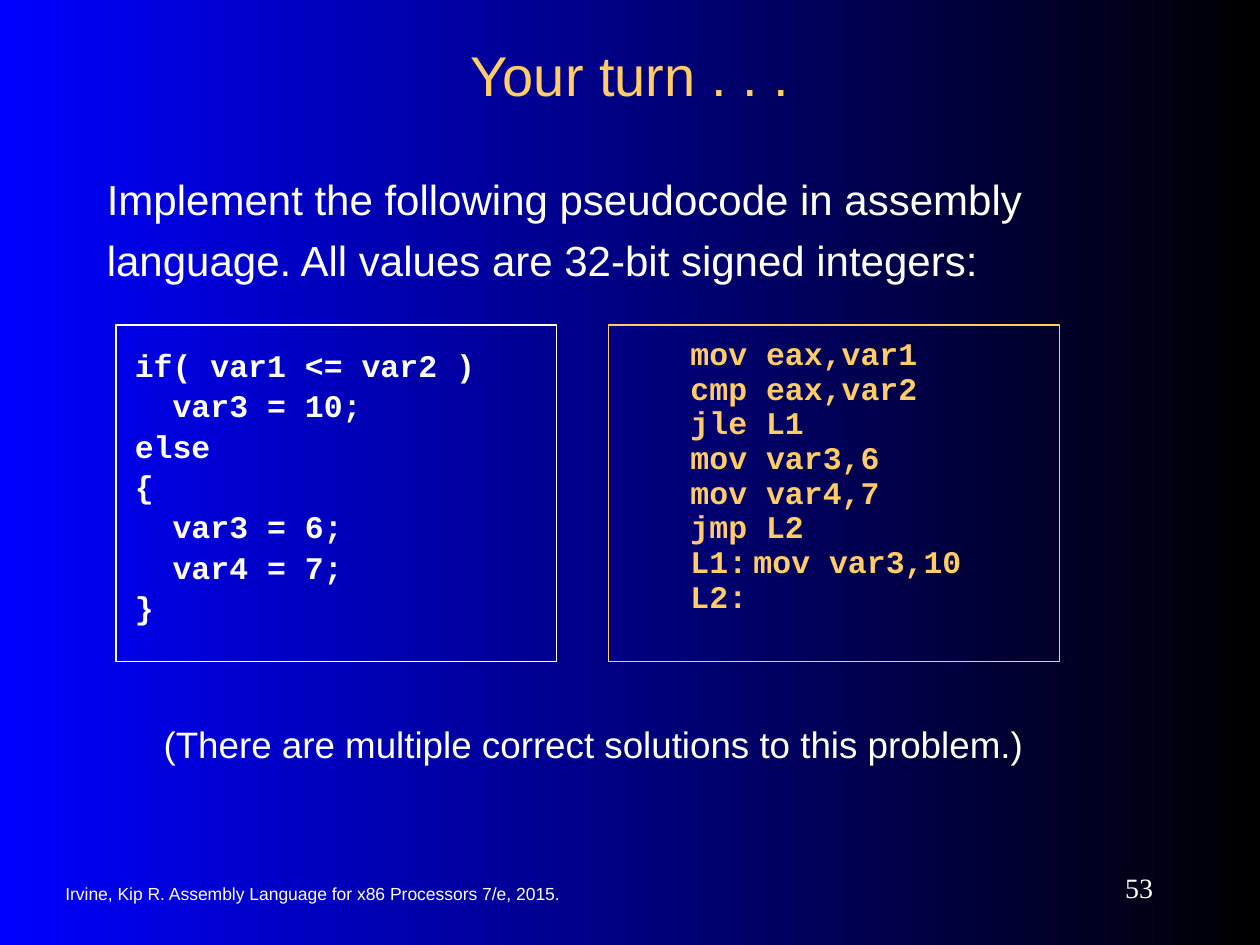
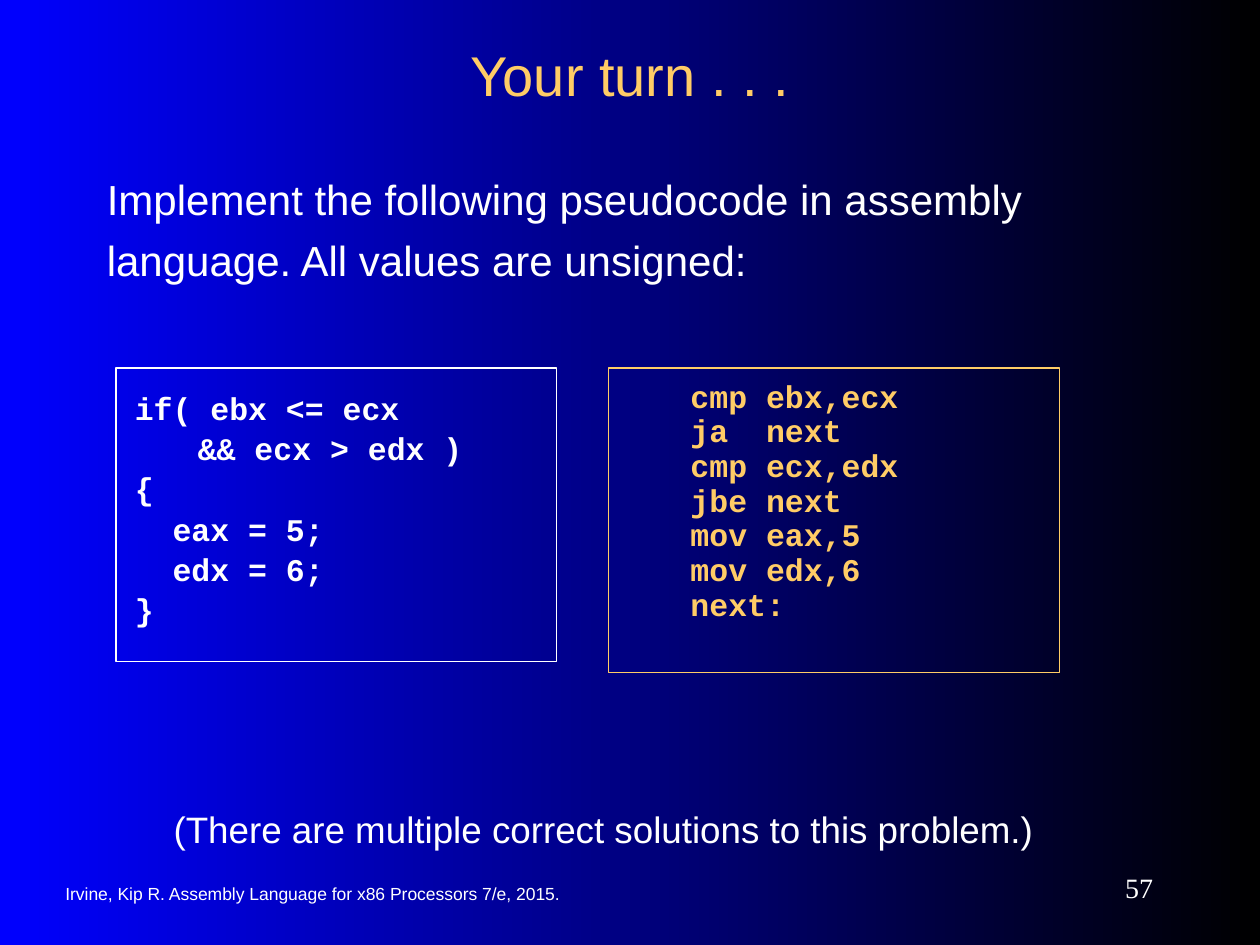
from dataclasses import dataclass

from lxml.etree import SubElement
from pptx import Presentation
from pptx.dml.color import RGBColor
from pptx.enum.shapes import MSO_SHAPE as Preset
from pptx.enum.text import MSO_ANCHOR as Anchor, MSO_AUTO_SIZE as AutoSize, PP_ALIGN as Align
from pptx.oxml.ns import qn
from pptx.util import Inches, Pt

BLUE, BLACK, WHITE, GOLD = "0000FF", "000000", "FFFFFF", "FFCC66"
SANS, SERIF, MONO = "Arial", "Times New Roman", "Courier New"
TITLE = "Your turn . . ."
TASK = "Implement the following pseudocode in assembly language. All values are "
REMARK = "(There are multiple correct solutions to this problem.)"
CITATION = "Irvine, Kip R. Assembly Language for x86 Processors 7/e, 2015."


@dataclass(frozen=True)
class Box:
    left: float
    top: float
    width: float
    height: float

    def lengths(self):
        return [Inches(n) for n in (self.left, self.top, self.width, self.height)]


@dataclass(frozen=True)
class Style:
    size: float
    color: str = WHITE
    font: str = SANS
    bold: bool = False
    align: Align = Align.LEFT
    anchor: Anchor = Anchor.TOP
    line_spacing: float = 1.0
    before_percent: int = 0
    margins: tuple = (0.1, 0.05, 0.1, 0.05)
    tab: float = 0


TITLE_STYLE = Style(32, GOLD, align=Align.CENTER, anchor=Anchor.MIDDLE)
TASK_STYLE = Style(24, line_spacing=1.2, before_percent=20)
REMARK_STYLE = Style(21, align=Align.CENTER, before_percent=50, margins=(0.1, 0.15, 0.1, 0.15))
CITATION_STYLE = Style(10, anchor=Anchor.MIDDLE)
NUMBER_STYLE = Style(16, font=SERIF, align=Align.RIGHT, anchor=Anchor.MIDDLE)
PSEUDOCODE_STYLE = Style(18, WHITE, MONO, True, line_spacing=0.9, before_percent=20,
                         margins=(0.15, 0.2, 0.15, 0.2), tab=0.5)
SOLUTION_STYLE = Style(18, GOLD, MONO, True, line_spacing=0.5, before_percent=50,
                       margins=(0.65, 0.2, 0.15, 0.2), tab=0.5)


@dataclass(frozen=True)
class Exercise:
    number: int
    values: str
    pseudocode: str
    solution: str
    code_top: float
    pseudocode_height: float
    solution_height: float
    remark_left: float
    remark_top: float


EXERCISES = [
    Exercise(
        53, "32-bit signed integers:",
        "if( var1 <= var2 )\n  var3 = 10;\nelse\n{\n  var3 = 6;\n  var4 = 7;\n}",
        "mov eax,var1\ncmp eax,var2\njle L1\nmov var3,6\nmov var4,7\njmp L2\nL1:\tmov var3,10\nL2:",
        2.58, 2.67, 2.67, 0.75, 5.58),
    Exercise(
        57, "unsigned:",
        "if( ebx <= ecx\n\t&& ecx > edx )\n{\n  eax = 5;\n  edx = 6;\n}",
        "cmp ebx,ecx\nja  next\ncmp ecx,edx\njbe next\nmov eax,5\nmov edx,6\nnext:",
        2.92, 2.33, 2.42, 0.83, 6.25),
]


def rgb(color: str) -> RGBColor:
    return RGBColor.from_string(color)


def space_paragraph(paragraph, style: Style) -> None:
    """Set line spacing, the relative space before, and the tab stop."""
    paragraph.line_spacing = style.line_spacing
    properties = paragraph._p.get_or_add_pPr()
    if style.before_percent:
        before = properties.get_or_add_spcBef()
        SubElement(before, qn("a:spcPct"), val=str(style.before_percent * 1000))
    if style.tab:
        tabs = SubElement(properties, qn("a:tabLst"))
        SubElement(tabs, qn("a:tab"), pos=str(Inches(style.tab)), algn="l")


def write_text(frame, text: str, style: Style) -> None:
    frame.text = text
    frame.word_wrap = True
    frame.vertical_anchor = style.anchor
    (frame.margin_left, frame.margin_top,
     frame.margin_right, frame.margin_bottom) = [Inches(m) for m in style.margins]
    for paragraph in frame.paragraphs:
        paragraph.alignment = style.align
        space_paragraph(paragraph, style)
        for run in paragraph.runs:
            run.font.name = style.font
            run.font.size = Pt(style.size)
            run.font.bold = style.bold
            run.font.color.rgb = rgb(style.color)


def add_text(slide, box: Box, text: str, style: Style):
    frame = slide.shapes.add_textbox(*box.lengths()).text_frame
    write_text(frame, text, style)
    return frame


def add_code(slide, box: Box, code: str, style: Style) -> None:
    panel = slide.shapes.add_shape(Preset.RECTANGLE, *box.lengths())
    panel.shadow.inherit = False
    panel.fill.background()
    panel.line.color.rgb = rgb(style.color)
    panel.line.width = Pt(0.75)
    write_text(panel.text_frame, code, style)


def paint_background(slide) -> None:
    fill = slide.background.fill
    fill.gradient()
    fill.gradient_angle = 0
    for stop, color, position in zip(fill.gradient_stops, (BLUE, BLACK), (0, 1)):
        stop.color.rgb = rgb(color)
        stop.position = position


def add_exercise(deck, exercise: Exercise) -> None:
    slide = deck.slides.add_slide(deck.slide_layouts[6])
    paint_background(slide)
    add_text(slide, Box(0.42, 6.93, 5.17, 0.33), CITATION, CITATION_STYLE)
    add_text(slide, Box(8.17, 6.83, 1.08, 0.42), str(exercise.number), NUMBER_STYLE)
    add_text(slide, Box(0.75, 0.25, 8.5, 0.67), TITLE, TITLE_STYLE)
    add_text(slide, Box(0.75, 1.25, 8.5, 1.33), TASK + exercise.values, TASK_STYLE)
    add_code(slide, Box(4.83, exercise.code_top, 3.58, exercise.solution_height),
             exercise.solution, SOLUTION_STYLE)
    add_code(slide, Box(0.92, exercise.code_top, 3.5, exercise.pseudocode_height),
             exercise.pseudocode, PSEUDOCODE_STYLE)
    remark = add_text(slide, Box(exercise.remark_left, exercise.remark_top, 7.92, 0.65),
                      REMARK, REMARK_STYLE)
    remark.auto_size = AutoSize.SHAPE_TO_FIT_TEXT


def main() -> None:
    deck = Presentation()
    deck.slide_width, deck.slide_height = Inches(10), Inches(7.5)
    for exercise in EXERCISES:
        add_exercise(deck, exercise)
    deck.save("out.pptx")


if __name__ == "__main__":
    main()
